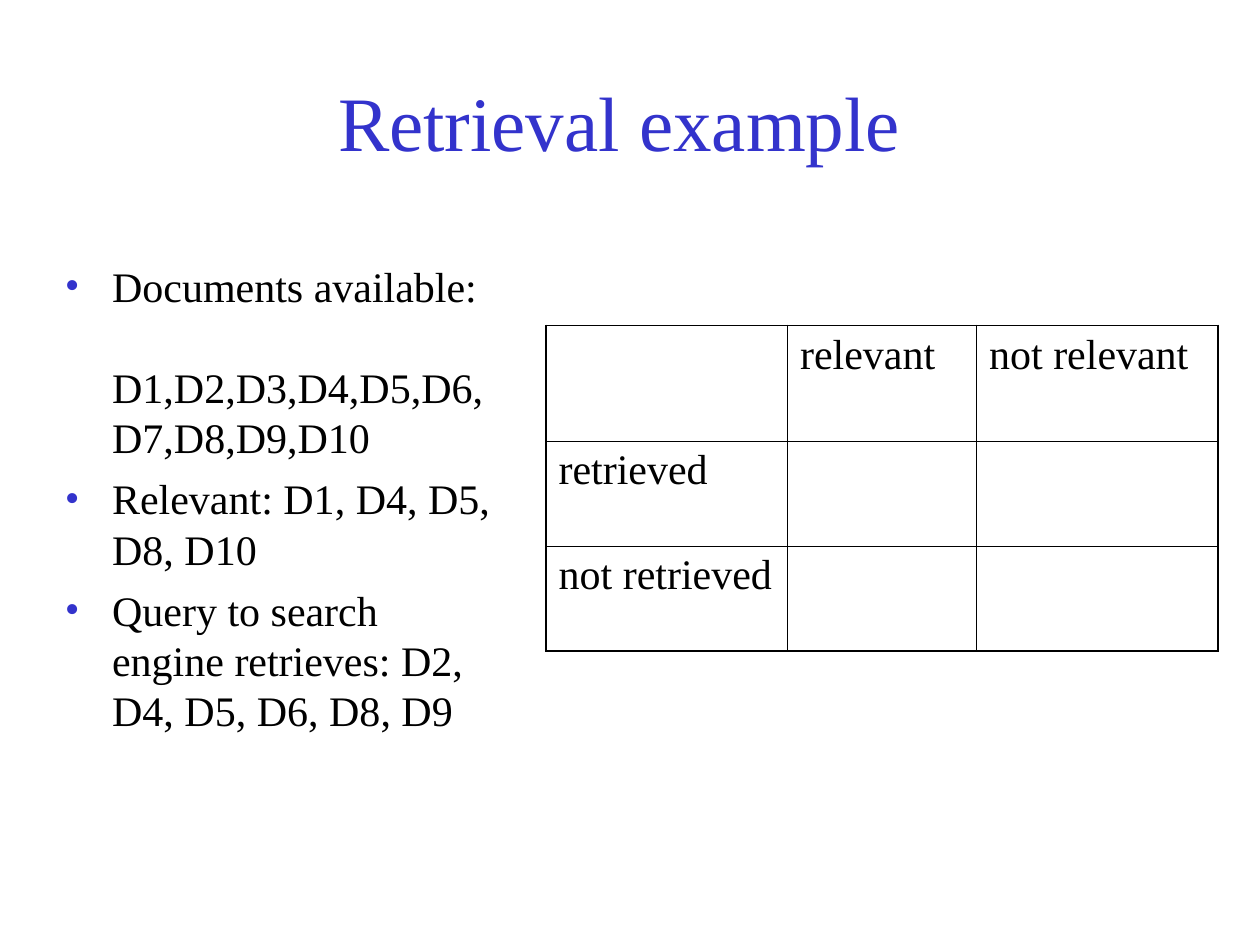
"""Build the retrieval example slide."""
from lxml import etree
from pptx import Presentation
from pptx.dml.color import RGBColor
from pptx.enum import text as t
from pptx.oxml import ns
from pptx.util import Pt

BLUE, BLACK = "3333CC", "000000"


def add(parent, name, **attrs):
    return etree.SubElement(parent, ns.qn(name), attrs)


def write(para, words, size=24, color=BLACK, before=0, align=t.PP_ALIGN.LEFT):
    run = para.add_run()
    run.text = words
    run.font.name = "Times New Roman"
    run.font.size = Pt(size)
    run.font.color.rgb = RGBColor.from_string(color)
    para.space_before = Pt(before)
    para.alignment = align


deck = Presentation()
deck.slide_width, deck.slide_height = Pt(720), Pt(540)
slide = deck.slides.add_slide(deck.slide_layouts[5])

title = slide.shapes.title
title.left, title.top, title.width, title.height = Pt(48), Pt(24), Pt(612), Pt(90)
title.text_frame.vertical_anchor = t.MSO_ANCHOR.MIDDLE
write(title.text_frame.paragraphs[0], "Retrieval example", size=44, color=BLUE,
      align=t.PP_ALIGN.CENTER)

body = slide.shapes.add_textbox(Pt(30), Pt(144), Pt(258), Pt(324)).text_frame
body.word_wrap = True
body.margin_top = Pt(5)
items = [
    ("Documents available:", True, 0),
    ("D1,D2,D3,D4,D5,D6,D7,D8,D9,D10", False, 28.8),
    ("Relevant: D1, D4, D5, D8, D10", True, 6),
    ("Query to search engine retrieves: D2, D4, D5, D6, D8, D9", True, 6),
]
for i, (words, dot, gap) in enumerate(items):
    para = body.add_paragraph() if i else body.paragraphs[0]
    write(para, words, before=gap)
    para.line_spacing = Pt(28.8)
    props = para._p.get_or_add_pPr()
    props.set("marL", str(Pt(27)))
    props.set("indent", str(Pt(-27 if dot else 0)))
    if dot:
        add(add(props, "a:buClr"), "a:srgbClr", val=BLUE)
        add(props, "a:buFont", typeface="Times New Roman")
        add(props, "a:buChar", char="•")
    else:
        add(props, "a:buNone")

rows = [
    ["", "relevant", "not relevant"],
    ["retrieved", "", ""],
    ["not retrieved", "", ""],
]
grid = slide.shapes.add_table(3, 3, Pt(312), Pt(186), Pt(384), Pt(186)).table
grid.first_row = grid.horz_banding = False
for i, (wide, high) in enumerate(zip((138, 108, 138), (66, 60, 60))):
    grid.columns[i].width, grid.rows[i].height = Pt(wide), Pt(high)

for r, row in enumerate(rows):
    for c, words in enumerate(row):
        cell = grid.cell(r, c)
        if words:
            write(cell.text_frame.paragraphs[0], words, before=6)
        props = cell._tc.get_or_add_tcPr()
        edges = {"L": c == 0, "R": c == 2, "T": r == 0, "B": r == 2}
        for side, outer in edges.items():
            line = add(props, "a:ln" + side, w=str(Pt(1.08 if outer else 0.45)))
            add(add(line, "a:solidFill"), "a:srgbClr", val=BLACK)
        cell.fill.background()

deck.save("out.pptx")
